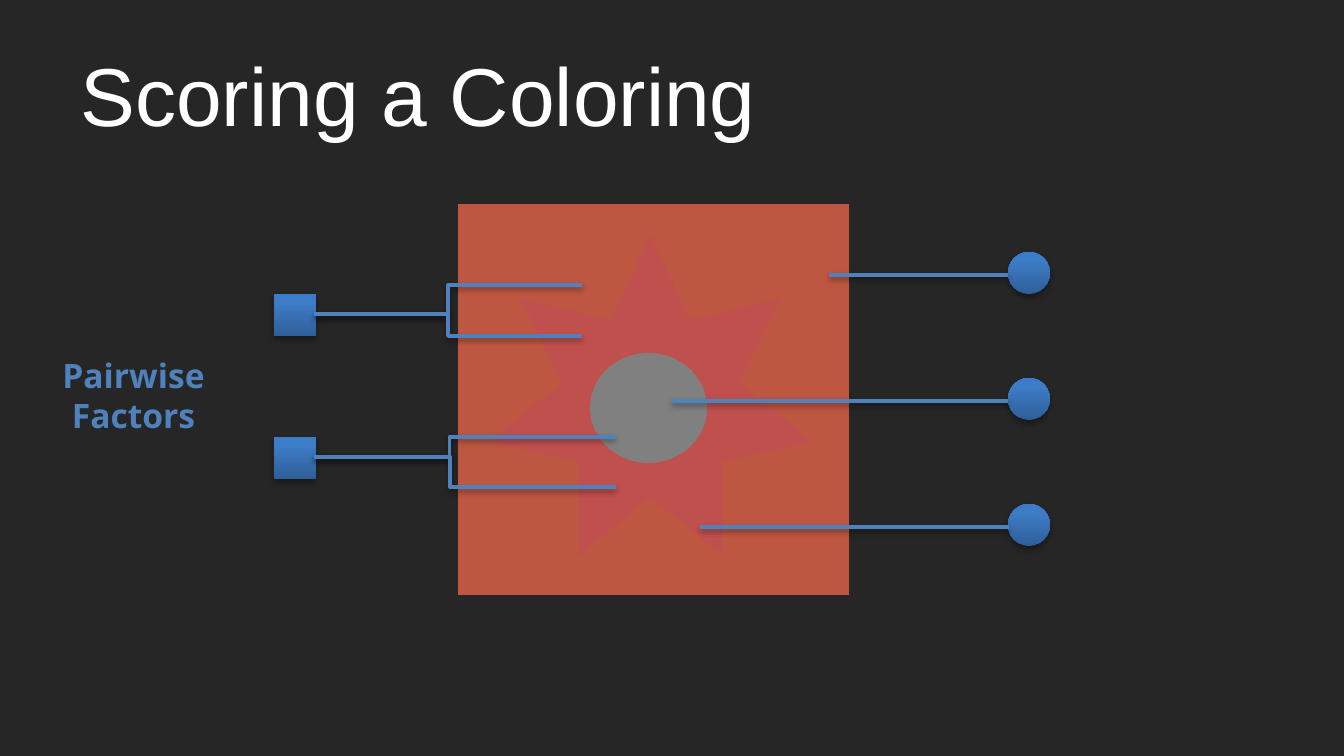
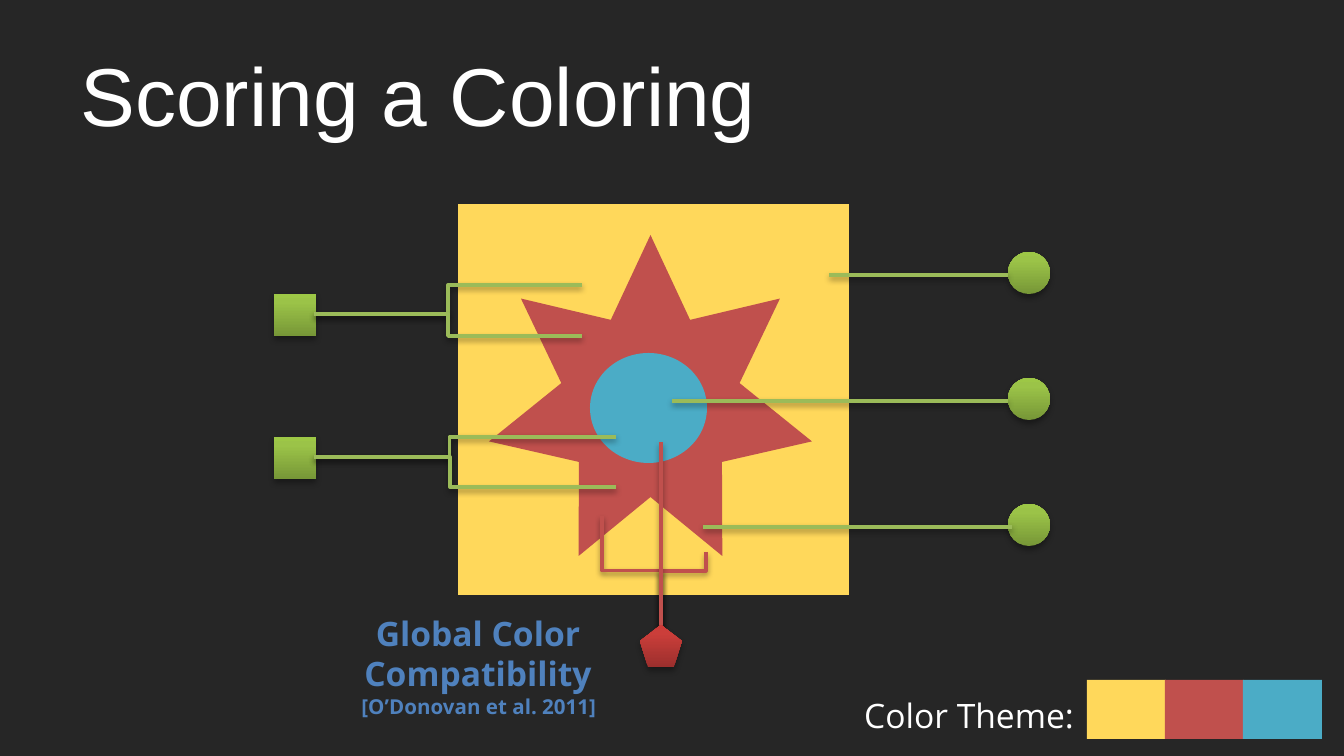
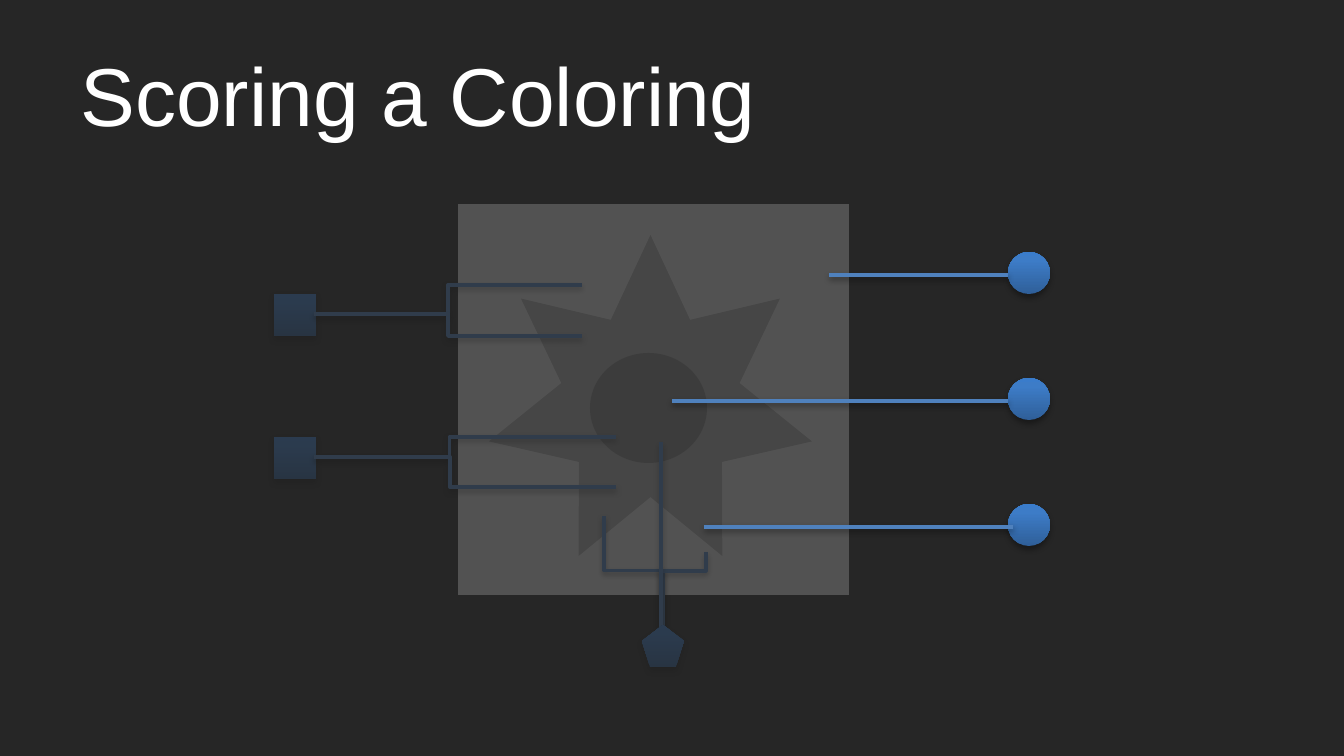
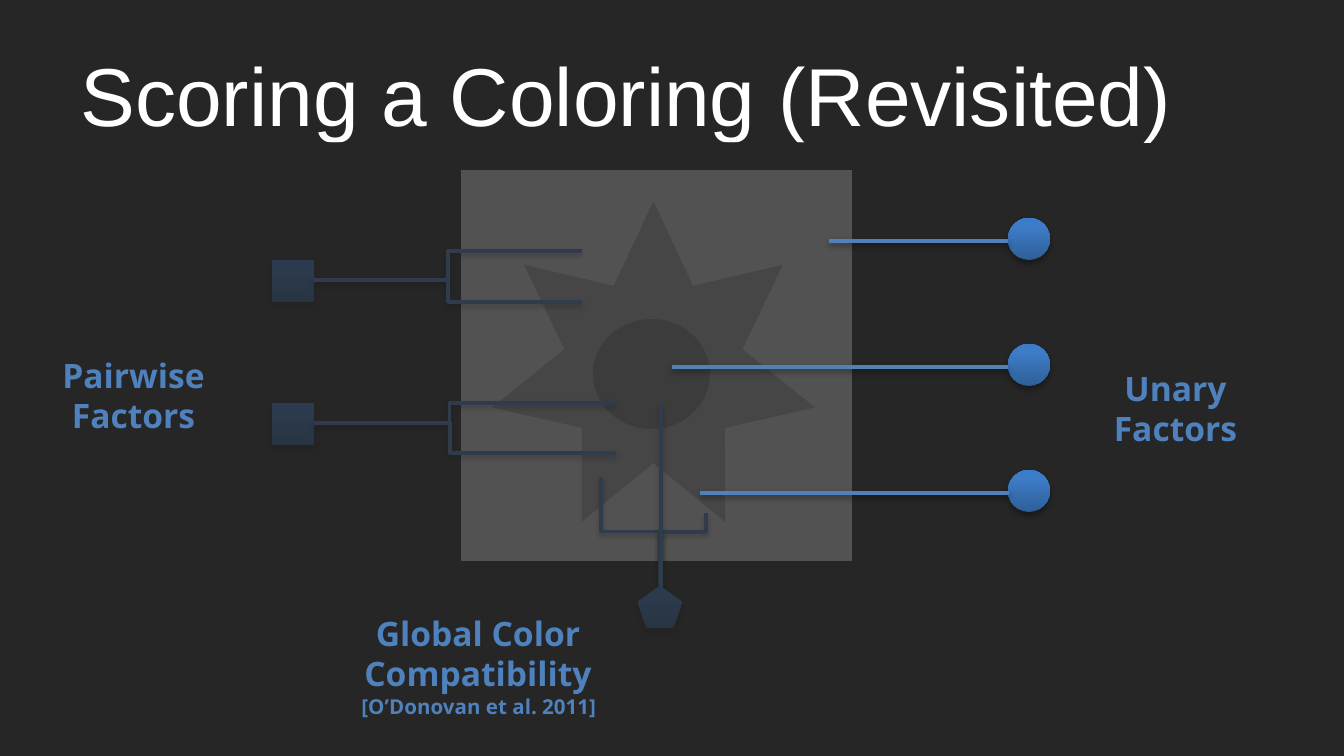
from collections import namedtuple
from copy import deepcopy

from lxml import etree
from pptx import Presentation
from pptx.dml.color import RGBColor
from pptx.enum.shapes import MSO_CONNECTOR as WIRE, MSO_SHAPE as SHAPE
from pptx.enum.text import MSO_ANCHOR as ANCHOR, MSO_AUTO_SIZE as FIT, PP_ALIGN as ALIGN
from pptx.oxml.ns import qn
from pptx.util import Emu, Pt

PAGE_W, PAGE_H = 1344, 756
SCALE = 9144000 / PAGE_W

BACKDROP = RGBColor(0x26, 0x26, 0x26)
WHITE = RGBColor(0xFF, 0xFF, 0xFF)
BLUE = RGBColor(0x4F, 0x81, 0xBD)
GREEN = RGBColor(0x9B, 0xBB, 0x59)
RED = RGBColor(0xC0, 0x50, 0x4D)
RUST = RGBColor(0xBE, 0x57, 0x42)
YELLOW = RGBColor(0xFF, 0xD8, 0x5B)
TEAL = RGBColor(0x4B, 0xAC, 0xC6)
LIGHT_GRAY = RGBColor(0xD9, 0xD9, 0xD9)
MID_GRAY = RGBColor(0xA6, 0xA6, 0xA6)
DARK_GRAY = RGBColor(0x80, 0x80, 0x80)

Accent = namedtuple("Accent", "wire stops")
BLUE_ACCENT = Accent(BLUE, (RGBColor(0x2F, 0x5F, 0x99), RGBColor(0x3D, 0x7C, 0xC7),
                            RGBColor(0x3A, 0x7C, 0xCB)))
GREEN_ACCENT = Accent(GREEN, (RGBColor(0x77, 0x97, 0x37), RGBColor(0x9B, 0xC3, 0x48),
                              RGBColor(0x9D, 0xC7, 0x46)))
RED_ACCENT = Accent(RED, (RGBColor(0x9C, 0x2F, 0x2D), RGBColor(0xCB, 0x3E, 0x3A),
                          RGBColor(0xCE, 0x3B, 0x37)))
STOP_POSITIONS = (0, 0.8, 1)

THEME_COLORS = (YELLOW, RED, TEAL)
GRAYS = (LIGHT_GRAY, MID_GRAY, DARK_GRAY)

TITLE_FONT, LABEL_FONT = "Arial", "Open Sans"
NODE = 42
RAISED = -34


def px(length):
    return Emu(round(length * SCALE))


def place(*lengths):
    return [px(length) for length in lengths]


def cast_shadow(item, alpha, distance):
    properties = item._element.spPr
    effects = properties.find(qn("a:effectLst"))
    if effects is None:
        effects = etree.SubElement(properties, qn("a:effectLst"))
    shadow = etree.SubElement(effects, qn("a:outerShdw"), blurRad="40000",
                              dist=str(distance), dir="5400000", rotWithShape="0")
    color = etree.SubElement(shadow, qn("a:srgbClr"), val="000000")
    etree.SubElement(color, qn("a:alpha"), val=str(alpha * 1000))


def add_flat(page, kind, box, color):
    shape = page.shapes.add_shape(kind, *place(*box))
    shape.shadow.inherit = False
    shape.fill.solid()
    shape.fill.fore_color.rgb = color
    shape.line.fill.background()
    return shape


def add_node(page, kind, left, top, accent, width=NODE):
    node = add_flat(page, kind, (left, top, width, NODE), accent.wire)
    node.fill.gradient()
    node.fill.gradient_angle = 90
    stop_list = node._element.spPr.find(qn("a:gradFill")).find(qn("a:gsLst"))
    stop_list.append(deepcopy(stop_list[-1]))
    for stop, position, color in zip(node.fill.gradient_stops, STOP_POSITIONS, accent.stops):
        stop.position = position
        stop.color.rgb = color
    cast_shadow(node, 35, 23000)


def add_wire(page, start, end, accent, kind=WIRE.STRAIGHT, bend=None):
    wire = page.shapes.add_connector(kind, *place(*start, *end))
    wire.line.color.rgb = accent.wire
    wire.line.width = Pt(2)
    cast_shadow(wire, 38, 20000)
    if bend is not None:
        guides = wire._element.spPr.find(qn("a:prstGeom")).find(qn("a:avLst"))
        etree.SubElement(guides, qn("a:gd"), name="adj1", fmla=f"val {round(bend * 100000)}")
    return wire


def add_rising_wire(page, start, end, accent, bend):
    (x1, y1), (x2, y2) = start, end
    center_x, center_y = (x1 + x2) / 2, (y1 + y2) / 2
    half_rise, half_run = (y1 - y2) / 2, (x2 - x1) / 2
    wire = add_wire(page, (center_x - half_rise, center_y - half_run),
                    (center_x + half_rise, center_y + half_run), accent, WIRE.ELBOW, bend)
    wire._element.spPr.find(qn("a:xfrm")).set("rot", "16200000")


def add_label(page, box, text, size=18, color=BLUE, bold=True, align=ALIGN.CENTER):
    label = page.shapes.add_textbox(*place(*box))
    frame = label.text_frame
    frame.word_wrap = True
    frame.auto_size = FIT.SHAPE_TO_FIT_TEXT
    frame.text = text
    for para in frame.paragraphs:
        para.alignment = align
        for span in para.runs:
            style_span(span, LABEL_FONT, size, color, bold)


def style_span(span, name, size, color, bold=False):
    span.font.name = name
    span.font.size = Pt(size)
    span.font.bold = bold
    span.font.color.rgb = color


def add_page(deck, text):
    page = deck.slides.add_slide(deck.slide_layouts[5])
    title = page.shapes.title
    title.left, title.top, title.width, title.height = place(67, 31, 1210, 126)
    frame = title.text_frame
    frame.text = text
    frame.vertical_anchor = ANCHOR.MIDDLE
    frame.auto_size = FIT.NONE
    para = frame.paragraphs[0]
    para.alignment = ALIGN.LEFT
    style_span(para.runs[0], TITLE_FONT, 44, WHITE)
    return page


def add_artwork(page, left, top, colors):
    square_color, star_color, disc_color = colors
    square = add_flat(page, SHAPE.RECTANGLE, (left, top, 395, 395), square_color)
    square.line.color.rgb = BACKDROP
    square.line.width = Pt(2)
    star = add_flat(page, SHAPE.STAR_7_POINT, (left + 33, top + 33, 323, 321), star_color)
    star.adjustments[0] = 0.276
    add_flat(page, SHAPE.OVAL, (left + 134, top + 151, 117, 110), disc_color)


def add_pairwise_factors(page, accent, shift=0, node_left=274):
    branches = (
        (294, 20, 582, ((-9, 0.5), (42, 0.5))),
        (437, 20, 616, ((0, 0.449), (50, 0.451))),
    )
    for top, middle, tip, ends in branches:
        top += shift
        add_node(page, SHAPE.RECTANGLE, node_left, top, accent)
        for drop, bend in ends:
            add_wire(page, (314, top + middle), (tip, top + drop), accent, WIRE.ELBOW, bend)


def add_global_factor(page, accent, top=625, nudge=0, width=NODE):
    hub = 661
    add_rising_wire(page, (hub + nudge, top), (hub + nudge - 59, top - 109), accent, 0.5)
    add_rising_wire(page, (hub, top + 11), (hub + 45, top - 73), accent, 0.777)
    add_wire(page, (hub, top + 11), (hub, top - 183), accent)
    add_node(page, SHAPE.REGULAR_PENTAGON, hub + nudge - width // 2, top, accent, width)


def add_unary_factors(page, accent, shift=0, last_start=1009):
    left = 1008
    wires = ((left, 829), (left, 672), (last_start, last_start - 309))
    for row, (start, end) in enumerate(wires):
        top = 252 + 126 * row + shift
        add_node(page, SHAPE.OVAL, left, top, accent)
        add_wire(page, (start, top + 23), (end, top + 23), accent)


def add_veil(page, box):
    veil = add_flat(page, SHAPE.RECTANGLE, box, BACKDROP)
    color = veil._element.spPr.find(qn("a:solidFill"))[0]
    etree.SubElement(color, qn("a:alpha"), val="75000")


def add_color_theme(page, left, top):
    for index, color in enumerate(THEME_COLORS):
        add_flat(page, SHAPE.RECTANGLE, (left + 236 + 78 * index, top, 79, 59), color)
    add_label(page, (left, top + 8, 258, 54), "Color Theme:", color=WHITE, bold=False,
              align=ALIGN.LEFT)


def add_pairwise_label(page):
    add_label(page, (44, 348, 179, 95), "Pairwise\nFactors")


def add_global_label(page):
    add_label(page, (347, 606, 262, 95), "Global Color Compatibility")
    add_label(page, (341, 687, 276, 39), "[O’Donovan et al. 2011]", size=11)


def build_pairwise_page(deck):
    page = add_page(deck, "Scoring a Coloring")
    add_artwork(page, 456, 202, (RUST, RED, DARK_GRAY))
    add_pairwise_factors(page, BLUE_ACCENT)
    add_unary_factors(page, BLUE_ACCENT)
    add_pairwise_label(page)


def build_global_page(deck):
    page = add_page(deck, "Scoring a Coloring")
    add_artwork(page, 456, 202, THEME_COLORS)
    add_pairwise_factors(page, GREEN_ACCENT)
    add_color_theme(page, 851, 680)
    add_global_factor(page, RED_ACCENT)
    add_unary_factors(page, GREEN_ACCENT, last_start=1012)
    add_global_label(page)


def build_unary_page(deck):
    page = add_page(deck, "Scoring a Coloring")
    add_artwork(page, 456, 202, GRAYS)
    add_pairwise_factors(page, BLUE_ACCENT)
    add_global_factor(page, BLUE_ACCENT, nudge=2)
    add_veil(page, (23, 176, 840, 546))
    add_unary_factors(page, BLUE_ACCENT, last_start=1013)


def build_revisited_page(deck):
    page = add_page(deck, "Scoring a Coloring (Revisited)")
    add_artwork(page, 459, 168, GRAYS)
    add_pairwise_factors(page, BLUE_ACCENT, RAISED, node_left=272)
    add_global_factor(page, BLUE_ACCENT, top=586, nudge=-1, width=44)
    add_veil(page, (134, 142, 840, 504))
    add_unary_factors(page, BLUE_ACCENT, RAISED)
    add_label(page, (1086, 361, 179, 95), "Unary Factors")
    add_pairwise_label(page)
    add_global_label(page)


def main():
    deck = Presentation()
    deck.slide_width, deck.slide_height = place(PAGE_W, PAGE_H)
    backdrop = deck.slide_master.background.fill
    backdrop.solid()
    backdrop.fore_color.rgb = BACKDROP
    build_pairwise_page(deck)
    build_global_page(deck)
    build_unary_page(deck)
    build_revisited_page(deck)
    deck.save("out.pptx")


if __name__ == "__main__":
    main()
